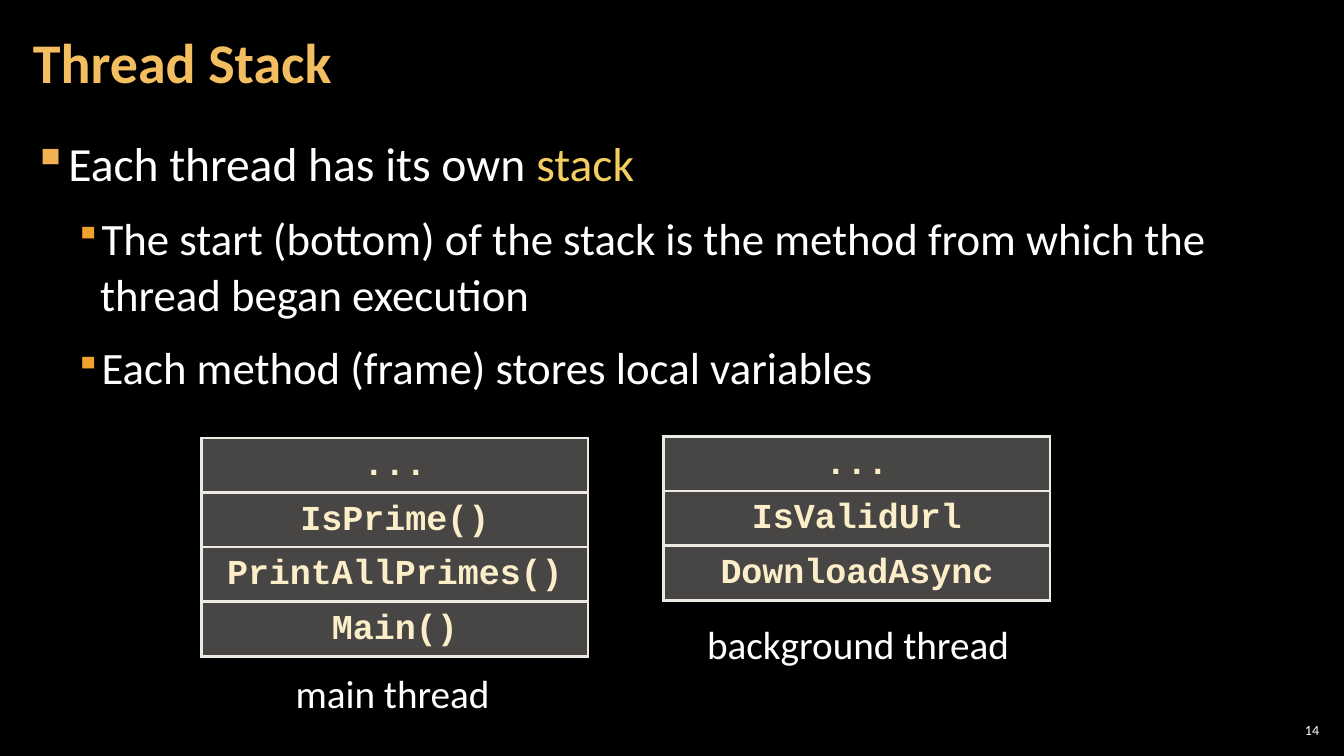
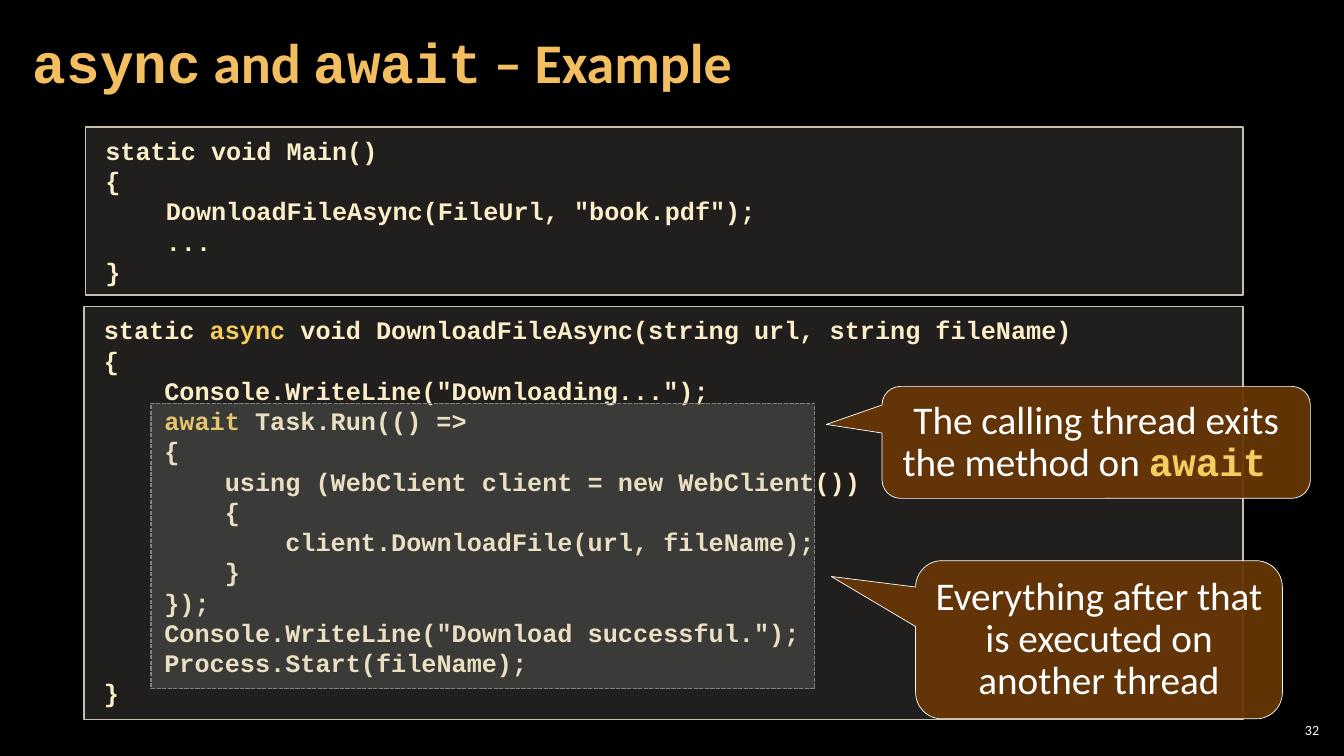
from dataclasses import dataclass

from lxml import etree
from pptx import Presentation
from pptx.dml.color import RGBColor
from pptx.enum.dml import MSO_LINE
from pptx.enum.shapes import MSO_SHAPE
from pptx.enum.text import MSO_ANCHOR, PP_ALIGN
from pptx.oxml.ns import qn
from pptx.util import Pt

LEFT, CENTER, RIGHT = PP_ALIGN.LEFT, PP_ALIGN.CENTER, PP_ALIGN.RIGHT
TOP, MIDDLE = MSO_ANCHOR.TOP, MSO_ANCHOR.MIDDLE
RECTANGLE = MSO_SHAPE.RECTANGLE
CALLOUT = MSO_SHAPE.ROUNDED_RECTANGULAR_CALLOUT
SHORT_DASH = MSO_LINE.SQUARE_DOT


@dataclass(frozen=True)
class Theme:
    sans: str = "Calibri"
    mono: str = "Courier New"
    background: str = "000000"
    white: str = "FFFFFF"
    title: str = "F3BE60"
    accent: str = "F3CD60"
    bullet: str = "F2B254"
    sub_bullet: str = "F0A22E"
    code: str = "FBEEC9"
    code_fill: str = "D9D5C7"
    code_line: str = "C7BFAC"
    frame_fill: str = "ECEAE3"
    region_fill: str = "A6A6A6"
    region_line: str = "808080"
    callout_fill: str = "663606"
    title_size: int = 40
    body_size: int = 34
    sub_size: int = 32
    note_size: int = 28
    frame_size: int = 25
    code_size: int = 18
    number_size: int = 10


THEME = Theme()
CODE_STYLE = dict(size=THEME.code_size, font=THEME.mono, color=THEME.code, bold=True)
FRAME_STYLE = dict(CODE_STYLE, size=THEME.frame_size)
NOTE_STYLE = dict(size=THEME.note_size, font=THEME.sans, color=THEME.white)
TITLE_STYLE = dict(size=THEME.title_size, font=THEME.sans, color=THEME.title, bold=True)
ACCENT = dict(color=THEME.accent)
MONO = dict(font=THEME.mono)

MAIN_CODE = [
    "static void Main()",
    "{",
    '    DownloadFileAsync(FileUrl, "book.pdf");',
    "    ...",
    "}",
]
DOWNLOAD_CODE = [
    [("static ", {}), ("async", ACCENT),
     (" void DownloadFileAsync(string url, string fileName)", {})],
    "{",
    '    Console.WriteLine("Downloading...");',
    [("    ", {}), ("await", ACCENT), (" Task.Run(() =>", {})],
    "    {",
    "        using (WebClient client = new WebClient())",
    "        {",
    "            client.DownloadFile(url, fileName);",
    "        }",
    "    });",
    '    Console.WriteLine("Download successful.");',
    "    Process.Start(fileName);",
    "}",
]


def points(box):
    return [Pt(length) for length in box]


def write_para(para, text, size, font, color, bold=False, align=LEFT,
               spacing=None, before=0, after=0, margin=0, hanging=0):
    para.alignment = align
    para.space_before, para.space_after = Pt(before), Pt(after)
    if spacing:
        para.line_spacing = spacing
    properties = para._p.get_or_add_pPr()
    properties.set("marL", str(Pt(margin)))
    properties.set("indent", str(Pt(-hanging)))
    for words, changes in [(text, {})] if isinstance(text, str) else text:
        style = dict(size=size, font=font, color=color, bold=bold) | changes
        span = para.add_run()
        span.text = words
        span.font.size = Pt(style["size"])
        span.font.name = style["font"]
        span.font.bold = style["bold"]
        span.font.color.rgb = RGBColor.from_string(style["color"])


def write_lines(frame, lines, insets, anchor=TOP, **style):
    frame.word_wrap = True
    frame.vertical_anchor = anchor
    side, edge = points(insets)
    frame.margin_left = frame.margin_right = side
    frame.margin_top = frame.margin_bottom = edge
    for index, line in enumerate(lines):
        para = frame.add_paragraph() if index else frame.paragraphs[0]
        write_para(para, line, **style)


def add_text(page, box, lines, insets=(7.2, 3.6), **style):
    frame = page.shapes.add_textbox(*points(box)).text_frame
    write_lines(frame, lines, insets, **style)
    return frame


def add_bullet(para, color, percent):
    properties = para._p.get_or_add_pPr()
    tint = etree.SubElement(properties, qn("a:buClr"))
    etree.SubElement(tint, qn("a:srgbClr")).set("val", color)
    etree.SubElement(properties, qn("a:buSzPct")).set("val", str(percent * 1000))
    etree.SubElement(properties, qn("a:buChar")).set("char", "▪")


def fill_color(fill, color, percent):
    fill.solid()
    fill.fore_color.rgb = RGBColor.from_string(color)
    node = fill._xPr.find(qn("a:solidFill")).find(qn("a:srgbClr"))
    etree.SubElement(node, qn("a:alpha")).set("val", str(percent * 1000))


def add_panel(page, box, kind, fill, opacity, line, width):
    panel = page.shapes.add_shape(kind, *points(box))
    panel.shadow.inherit = False
    fill_color(panel.fill, fill, opacity)
    panel.line.color.rgb = RGBColor.from_string(line)
    panel.line.width = Pt(width)
    return panel


def add_code(page, box, lines):
    panel = add_panel(page, box, RECTANGLE, THEME.code_fill, 15, THEME.code_line, 1)
    write_lines(panel.text_frame, lines, (0, 5.8), margin=14.2, **CODE_STYLE)


def add_region(page, box):
    panel = add_panel(page, box, RECTANGLE, THEME.region_fill, 20, THEME.region_line, 1)
    panel.line.dash_style = SHORT_DASH


def add_callout(page, box, tip, text):
    panel = add_panel(page, box, CALLOUT, THEME.callout_fill, 95, THEME.white, 0.5)
    panel.adjustments[0], panel.adjustments[1] = tip
    write_lines(panel.text_frame, [text], (7.2, 5.8), align=CENTER,
                spacing=Pt(30), **NOTE_STYLE)


def border_cell(cell, color, width):
    properties = cell._tc.get_or_add_tcPr()
    for index, side in enumerate(("lnL", "lnR", "lnT", "lnB")):
        edge = etree.Element(qn("a:" + side), w=str(Pt(width)))
        fill = etree.SubElement(edge, qn("a:solidFill"))
        etree.SubElement(fill, qn("a:srgbClr")).set("val", color)
        properties.insert(index, edge)


def add_stack(page, left, top, methods, caption, caption_box):
    width, row_height = 276, 39
    box = left, top, width, row_height * len(methods)
    table = page.shapes.add_table(len(methods), 1, *points(box)).table
    table.first_row = table.horz_banding = False
    for index, method in enumerate(methods):
        table.rows[index].height = Pt(row_height)
        cell = table.cell(index, 0)
        cell.vertical_anchor = MIDDLE
        fill_color(cell.fill, THEME.frame_fill, 30)
        border_cell(cell, THEME.frame_fill, 2.25)
        write_para(cell.text_frame.paragraphs[0], method, align=CENTER,
                   spacing=0.95, **FRAME_STYLE)
    offset_x, offset_y, caption_width = caption_box
    add_text(page, (left + offset_x, top + box[3] + offset_y, caption_width, 41),
             [caption], **NOTE_STYLE)


def add_body(page, box, items):
    frame = add_text(page, box, [], insets=(8.5, 2.8), size=THEME.body_size,
                     font=THEME.sans, color=THEME.white)
    for index, (level, text) in enumerate(items):
        para = frame.add_paragraph() if index else frame.paragraphs[0]
        para.level = level
        write_para(para, text, size=THEME.sub_size if level else THEME.body_size,
                   font=THEME.sans, color=THEME.white, spacing=1.05,
                   before=6 if index else 0, after=6,
                   margin=48 if level else 24, hanging=18 if level else 24)
        add_bullet(para, THEME.sub_bullet if level else THEME.bullet,
                   80 if level else 100)


def add_page(deck, title, number):
    page = deck.slides.add_slide(deck.slide_layouts[6])
    page.background.fill.solid()
    page.background.fill.fore_color.rgb = RGBColor.from_string(THEME.background)
    add_text(page, (911, 514, 34, 15), [number], insets=(2.8, 2.8), anchor=MIDDLE,
             align=RIGHT, size=THEME.number_size, font=THEME.sans, color=THEME.white)
    add_text(page, (15, 3, 754, 87), [title], insets=(8.5, 2.8), anchor=MIDDLE,
             spacing=0.9, **TITLE_STYLE)
    return page


def build_thread_stack(deck):
    page = add_page(deck, "Thread Stack", "14")
    add_body(page, (15, 90.7, 930, 438), [
        (0, [("Each thread has its own ", {}), ("stack", ACCENT)]),
        (1, "The start (bottom) of the stack is the method from which the "
            "thread began execution"),
        (1, "Each method (frame) stores local variables"),
    ])
    add_stack(page, 144, 312.8, ["...", "IsPrime()", "PrintAllPrimes()", "Main()"],
              "main thread", (60, 6, 156))
    add_stack(page, 474, 311.8, ["...", "IsValidUrl", "DownloadAsync"],
              "background thread", (24, 11, 233))


def build_async_example(deck):
    title = [("async", MONO), (" and ", {}), ("await", MONO), (" – Example", {})]
    page = add_page(deck, title, "32")
    add_code(page, (61, 90.7, 827, 120), MAIN_CODE)
    add_code(page, (60, 219, 828, 295), DOWNLOAD_CODE)
    add_region(page, (108, 288, 474, 204))
    add_callout(page, (630, 276, 306, 80), (-0.63, -0.16),
                [("The calling thread exits the method on ", {}),
                 ("await ", dict(MONO, color=THEME.accent, bold=True))])
    add_callout(page, (654, 400.5, 262, 113), (-0.73, -0.4),
                "Everything after that is executed on another thread")


def main():
    deck = Presentation()
    deck.slide_width, deck.slide_height = Pt(960), Pt(540)
    build_thread_stack(deck)
    build_async_example(deck)
    deck.save("out.pptx")


if __name__ == "__main__":
    main()
